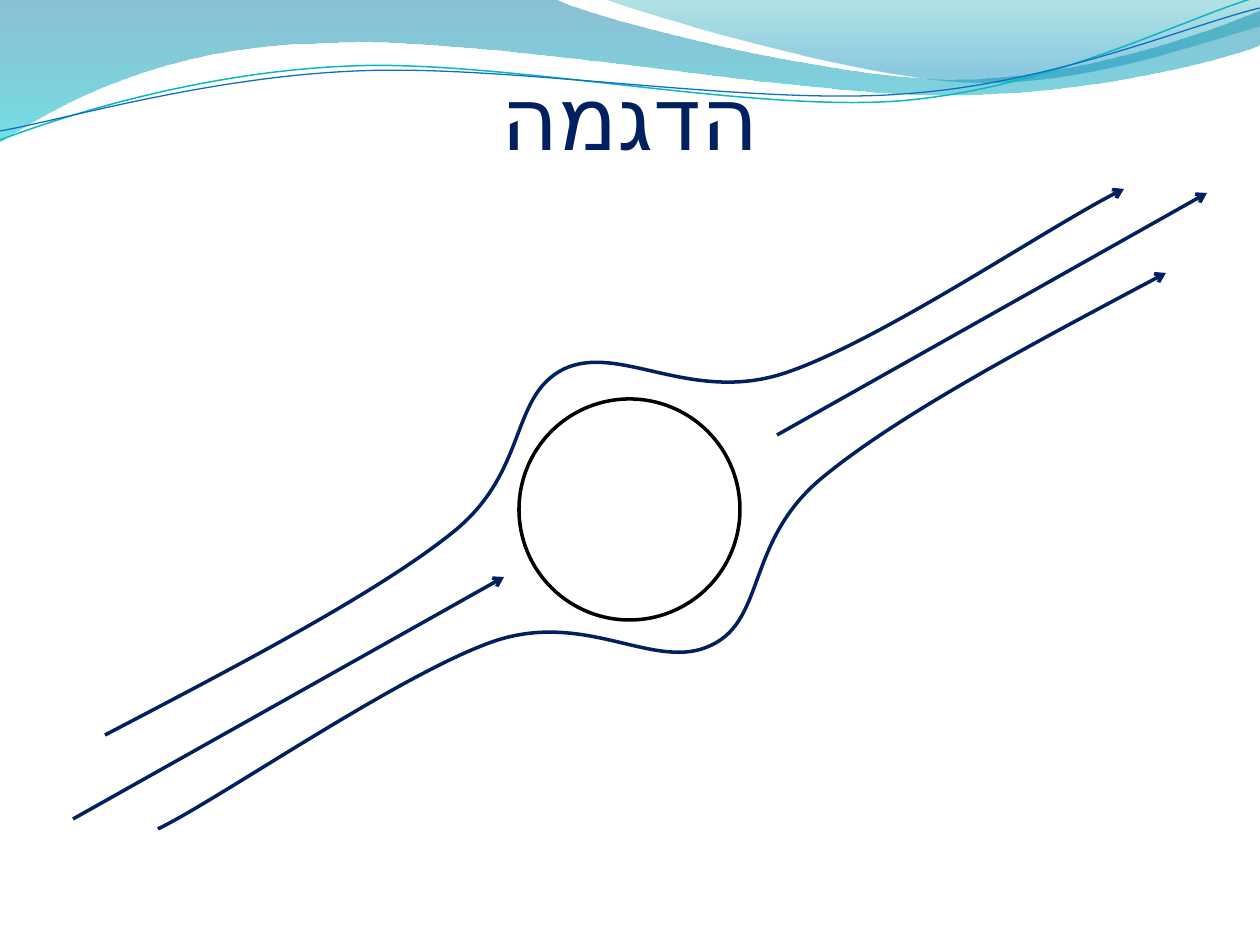
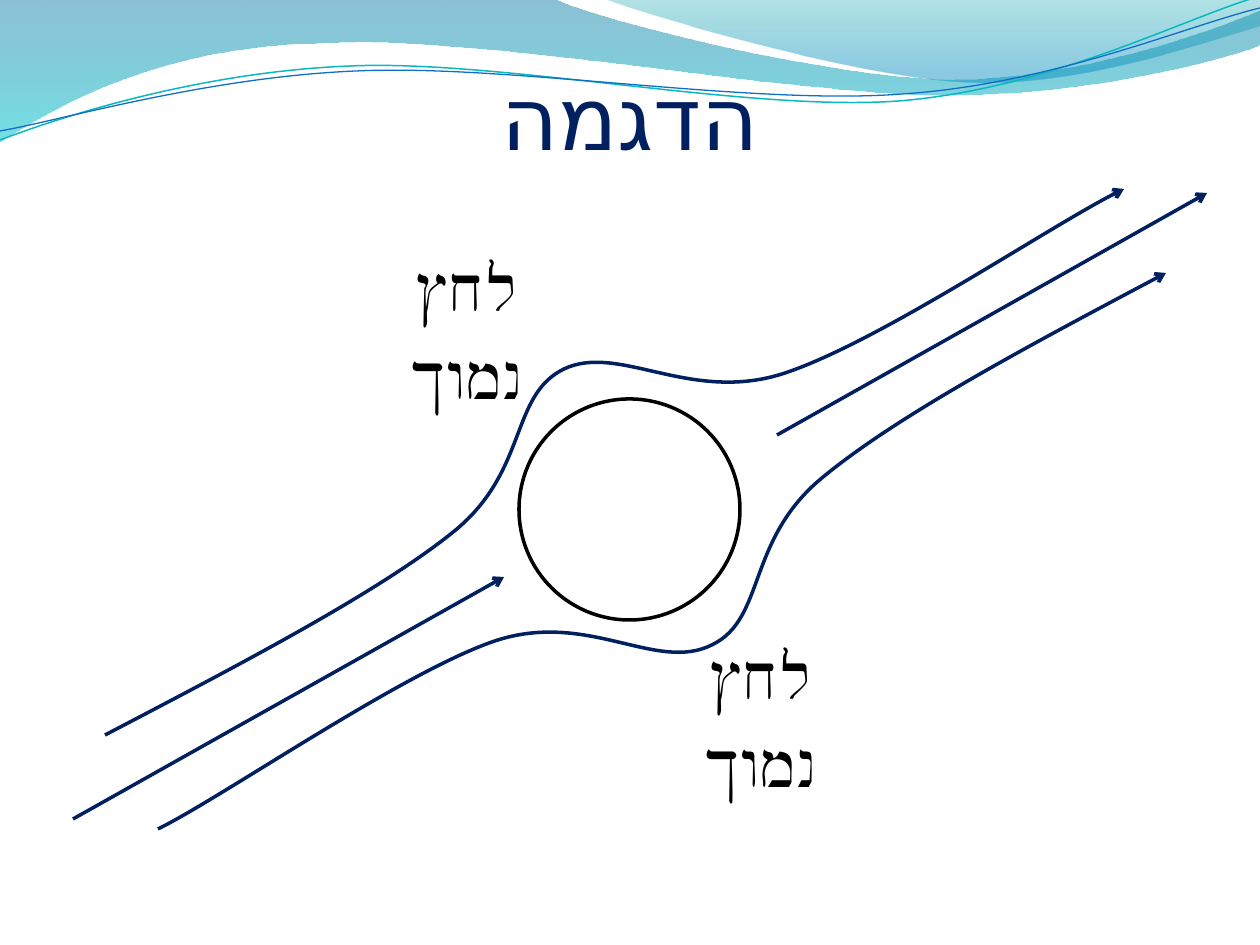
from lxml.etree import SubElement
from pptx import Presentation
from pptx.dml.color import RGBColor
from pptx.enum.shapes import MSO_CONNECTOR, MSO_SHAPE
from pptx.enum.text import MSO_ANCHOR, MSO_AUTO_SIZE, PP_ALIGN
from pptx.oxml.ns import qn
from pptx.util import Pt

EMU_PER_PX = 914400 / 126
COLORS = {
    "navy": "002060", "black": "000000", "white": "FFFFFF",
    "teal_line": "0AB8BF", "blue_line": "0F6FC6",
    "band_top": "0074A1", "band_bottom": "00C6CF",
    "crest_top": "00A1A9", "crest_bottom": "008BBF",
}
TITLE = "הדגמה"
LOW_PRESSURE = ("לחץ", "נמוך")
LABEL_CORNERS = [(368, 242), (662, 630)]

BAND = [(0, 0), (554, -1), (600, 21, 837, 79, 955, 79),
        (1075, 79, 1207, 33, 1260, 11), (1261, 45),
        (1239, 55, 1096, 96, 940, 95), (784, 94, 481, 35, 324, 43),
        (163, 45, 58, 105, -1, 142)]
CREST = [(604, -1), (641, 14, 859, 78, 969, 82),
         (1079, 87, 1211, 40, 1260, 26), (1260, 0)]
TEAL_WAVE = [(0, 140), (60, 117, 199, 72, 349, 66),
             (498, 59, 747, 112, 898, 101), (1050, 89, 1182, 19, 1257, -3)]
BLUE_WAVE = [(0, 131), (59, 121, 207, 77, 357, 71),
             (508, 64, 752, 106, 903, 94), (1053, 84, 1186, 26, 1260, 8)]
UPPER_FLOW = [(105, 735), (241, 664, 377, 593, 452, 533),
              (529, 472, 509, 396, 564, 369), (619, 343, 689, 403, 782, 374),
              (876, 344, 1060, 219, 1124, 189)]
LOWER_FLOW = [(158, 829), (220, 799, 403, 672, 495, 641),
              (588, 610, 656, 673, 712, 645), (766, 619, 746, 541, 822, 478),
              (897, 416, 1032, 344, 1166, 273)]
STRAIGHT_FLOWS = [(73, 819, 504, 577), (777, 435, 1207, 193)]


def px(*lengths):
    return [round(length * EMU_PER_PX) for length in lengths]


def rgb(color):
    return RGBColor.from_string(COLORS[color])


def stroke(shape, color, width, arrow=False):
    shape.line.color.rgb = rgb(color)
    shape.line.width = Pt(width)
    if arrow:
        outline = next(shape.element.iter(qn("a:ln")))
        SubElement(outline, qn("a:tailEnd"), type="arrow")


def add_curve(slide, route, closed=False):
    builder = slide.shapes.build_freeform(*px(*route[0]), scale=1.0)
    corners = [px(*step[i:i + 2]) for step in route[1:]
               for i in range(0, len(step), 2)]
    builder.add_line_segments(corners, close=closed)
    curve = builder.convert_to_shape()
    outline = next(curve.element.iter(qn("a:path")))
    segments = iter(outline.findall(qn("a:lnTo")))
    for step in route[1:]:
        segment = next(segments)
        if len(step) == 6:
            bezier = SubElement(outline, qn("a:cubicBezTo"))
            outline.replace(segment, bezier)
            bezier.append(segment[0])
            for _ in range(2):
                control = next(segments)
                bezier.append(control[0])
                outline.remove(control)
    curve.shadow.inherit = False
    curve.fill.background()
    return curve


def add_line_curve(slide, route, color, width, arrow=False):
    curve = add_curve(slide, route)
    stroke(curve, color, width, arrow)
    return curve


def add_gradient_curve(slide, route, stops):
    curve = add_curve(slide, route, closed=True)
    curve.line.fill.background()
    curve.fill.gradient()
    curve.fill.gradient_angle = 270
    for stop, (position, color, _) in zip(curve.fill.gradient_stops, stops):
        stop.position = position
        stop.color.rgb = rgb(color)
    tints = curve.element.iter(qn("a:srgbClr"))
    for tint, (_, _, opacity) in zip(list(tints), stops):
        SubElement(tint, qn("a:alpha"), val=str(opacity * 1000))
    return curve


def add_waves(slide, layout):
    waves = [
        add_gradient_curve(slide, BAND, [(0, "band_top", 45), (1, "band_bottom", 55)]),
        add_gradient_curve(slide, CREST, [(0, "crest_top", 30), (0.8, "crest_bottom", 45)]),
        add_line_curve(slide, TEAL_WAVE, "teal_line", 0.85),
        add_line_curve(slide, BLUE_WAVE, "blue_line", 0.75),
    ]
    for wave in waves:
        layout.shapes.element.append(wave.element)


def write(shape, lines, font, size, color, hanging=0, before=0):
    frame = shape.text_frame
    frame.word_wrap = True
    frame.auto_size = MSO_AUTO_SIZE.NONE
    frame.text = "\n".join(lines)
    for paragraph in frame.paragraphs:
        paragraph.alignment = PP_ALIGN.CENTER
        properties = paragraph._p.get_or_add_pPr()
        properties.set("rtl", "1")
        if hanging:
            indent = px(hanging)[0]
            properties.set("marL", str(indent))
            properties.set("indent", str(-indent))
        if before:
            spacing = SubElement(properties, qn("a:spcBef"))
            SubElement(spacing, qn("a:spcPct"), val=str(before * 1000))
        run = paragraph.runs[0]
        run.font.name = font
        run.font.size = Pt(size)
        run.font.color.rgb = rgb(color)
        character = run._r.get_or_add_rPr()
        character.set("lang", "he-IL")
        SubElement(character, qn("a:cs"), typeface=font)


def add_title(slide):
    title = slide.shapes.title
    title.left, title.top, title.width, title.height = px(63, 0, 1134, 168)
    frame = title.text_frame
    frame.vertical_anchor = MSO_ANCHOR.BOTTOM
    frame.margin_left = frame.margin_right = frame.margin_bottom = 0
    frame.margin_top = Pt(3.6)
    write(title, [TITLE], "Calibri", 50, "navy")


def add_obstacle(slide):
    obstacle = slide.shapes.add_shape(MSO_SHAPE.OVAL, *px(519, 399, 221, 221))
    obstacle.shadow.inherit = False
    obstacle.fill.solid()
    obstacle.fill.fore_color.rgb = rgb("white")
    stroke(obstacle, "black", 2)


def add_straight_flow(slide, ends):
    flow = slide.shapes.add_connector(MSO_CONNECTOR.STRAIGHT, *px(*ends))
    stroke(flow, "navy", 2, arrow=True)
    SubElement(flow.element.spPr, qn("a:effectLst"))


def add_flow_diagram(slide):
    add_obstacle(slide)
    incoming, outgoing = STRAIGHT_FLOWS
    add_straight_flow(slide, incoming)
    for route in (UPPER_FLOW, LOWER_FLOW):
        add_line_curve(slide, route, "navy", 2, arrow=True)
    add_straight_flow(slide, outgoing)


def add_pressure_label(slide, left, top):
    label = slide.shapes.add_textbox(*px(left, top, 199, 179))
    write(label, LOW_PRESSURE, "TeX Gyre Pagella", 36, "black", hanging=38, before=20)


def main():
    deck = Presentation()
    deck.slide_width, deck.slide_height = px(1260, 945)
    layout = deck.slide_layouts[5]
    flow_slide, pressure_slide = [deck.slides.add_slide(layout) for _ in range(2)]
    add_waves(flow_slide, layout)
    for slide in (flow_slide, pressure_slide):
        add_title(slide)
        add_flow_diagram(slide)
    for corner in LABEL_CORNERS:
        add_pressure_label(pressure_slide, *corner)
    deck.save("out.pptx")


if __name__ == "__main__":
    main()
